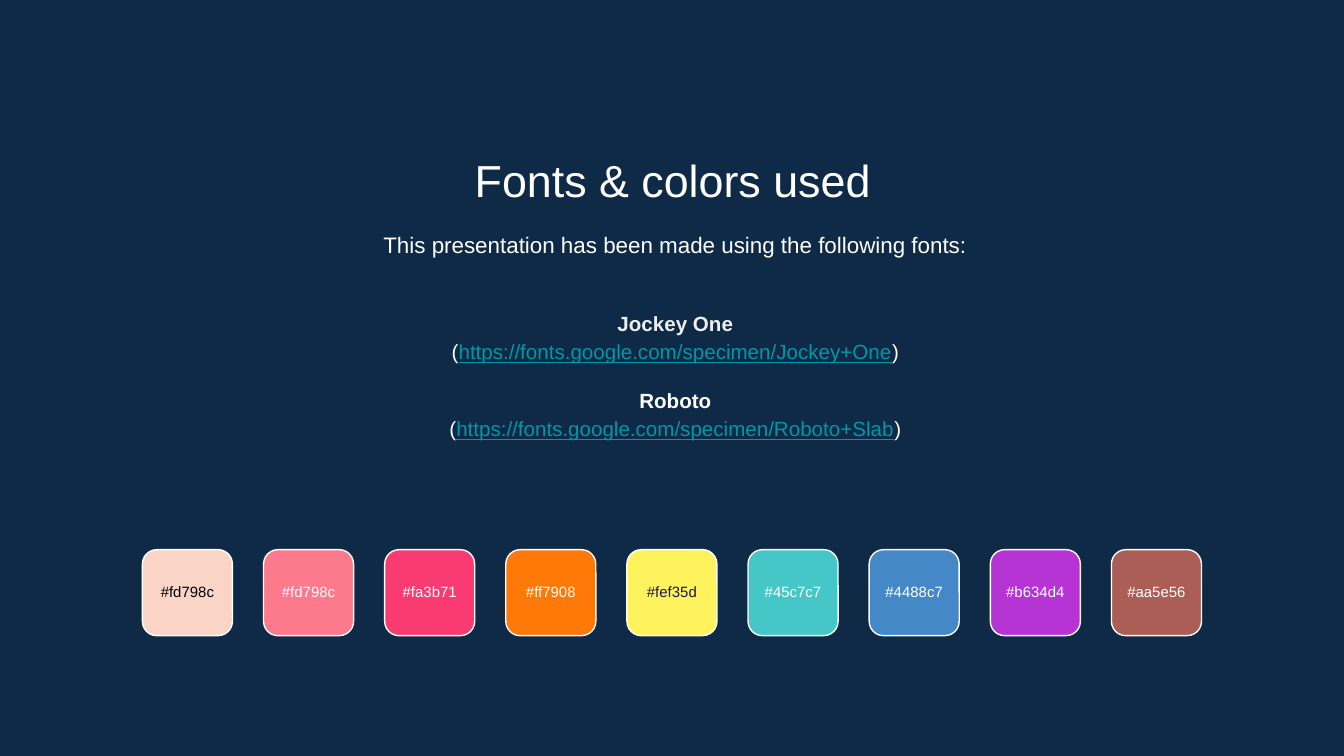
"""Build the slide that lists the fonts and colors of the presentation."""
from dataclasses import dataclass

from pptx import Presentation
from pptx.dml.color import RGBColor as Rgb
from pptx.enum.shapes import MSO_SHAPE as Shape
from pptx.enum.text import MSO_ANCHOR as Anchor, PP_ALIGN as Align
from pptx.util import Inches, Pt


@dataclass(frozen=True)
class Theme:
    font: str = "Arial"
    background: str = "0E2A47"
    white: str = "FFFFFF"
    pale: str = "EFEFEF"
    link: str = "0097A7"
    black: str = "000000"
    indigo: str = "20124D"
    title_size: float = 24
    intro_size: float = 12
    body_size: float = 11
    label_size: float = 8
    outline_width: float = 0.75
    line_spacing: float = 1.15
    entry_gap: float = 11


class SlideBuilder:
    def __init__(self, deck, theme):
        self.theme = theme
        self.slide = deck.slides.add_slide(deck.slide_layouts[6])
        self.slide.background.fill.solid()
        self.slide.background.fill.fore_color.rgb = Rgb.from_string(theme.background)

    def style(self, run, size, color, bold=False, underline=False):
        run.font.name = self.theme.font
        run.font.size = Pt(size)
        run.font.color.rgb = Rgb.from_string(color)
        run.font.bold = bold
        run.font.underline = underline

    def text_box(self, left, top, width, height, anchor=Anchor.TOP):
        box = self.slide.shapes.add_textbox(
            Inches(left), Inches(top), Inches(width), Inches(height))
        frame = box.text_frame
        frame.word_wrap = True
        frame.vertical_anchor = anchor
        frame.margin_left = frame.margin_right = Inches(0.1)
        frame.margin_top = frame.margin_bottom = Inches(0.1)
        return frame

    def line(self, frame, text, size, color, spacing=1.0):
        frame.text = text
        paragraph = frame.paragraphs[0]
        paragraph.alignment = Align.CENTER
        paragraph.line_spacing = spacing
        self.style(paragraph.runs[0], size, color)

    def font_list(self, frame, entries):
        theme = self.theme
        for index, (name, color, address) in enumerate(entries):
            heading = frame.add_paragraph() if index else frame.paragraphs[0]
            if index:
                heading.space_before = Pt(theme.entry_gap)
            source = frame.add_paragraph()
            heading.text = name
            self.style(heading.runs[0], theme.body_size, color, bold=True)
            for part in ("(", address, ")"):
                is_link = part == address
                run = source.add_run()
                run.text = part
                self.style(run, theme.body_size,
                           theme.link if is_link else theme.white,
                           underline=is_link)
            for paragraph in (heading, source):
                paragraph.alignment = Align.CENTER
                paragraph.line_spacing = theme.line_spacing

    def swatch(self, left, fill, label, label_color):
        tile = self.slide.shapes.add_shape(
            Shape.ROUNDED_RECTANGLE,
            Inches(left), Inches(4.09), Inches(0.67), Inches(0.64))
        tile.shadow.inherit = False
        tile.fill.solid()
        tile.fill.fore_color.rgb = Rgb.from_string(fill)
        tile.line.color.rgb = Rgb.from_string(self.theme.white)
        tile.line.width = Pt(self.theme.outline_width)
        caption = self.text_box(left, 4.22, 0.67, 0.37, Anchor.MIDDLE)
        self.line(caption, label, self.theme.label_size, label_color)


def main():
    theme = Theme()
    deck = Presentation()
    deck.slide_width = Inches(10)
    deck.slide_height = Inches(10 * 9 / 16)
    builder = SlideBuilder(deck, theme)

    title = builder.text_box(1.15, 1.04, 7.71, 0.53)
    builder.line(title, "Fonts & colors used", theme.title_size, theme.white)
    intro = builder.text_box(1.17, 1.59, 7.71, 0.48)
    builder.line(intro, "This presentation has been made using the following fonts:",
                 theme.intro_size, theme.white, theme.line_spacing)
    fonts = builder.text_box(1.17, 2.1, 7.71, 1.37, Anchor.MIDDLE)
    builder.font_list(fonts, [
        ("Jockey One", theme.pale, "https://fonts.google.com/specimen/Jockey+One"),
        ("Roboto", theme.white, "https://fonts.google.com/specimen/Roboto+Slab"),
    ])

    palette = [
        ("FAD5C7", "#fd798c", theme.black),
        ("FD798C", "#fd798c", theme.white),
        ("FA3B71", "#fa3b71", theme.white),
        ("FF7908", "#ff7908", theme.white),
        ("FEF35D", "#fef35d", theme.indigo),
        ("45C7C7", "#45c7c7", theme.white),
        ("4488C7", "#4488c7", theme.white),
        ("B634D4", "#b634d4", theme.white),
        ("AA5E56", "#aa5e56", theme.white),
    ]
    first_left, last_left = 1.06, 8.27
    pitch = (last_left - first_left) / (len(palette) - 1)
    for index, (fill, label, label_color) in enumerate(palette):
        builder.swatch(first_left + index * pitch, fill, label, label_color)

    deck.save("out.pptx")


if __name__ == "__main__":
    main()
